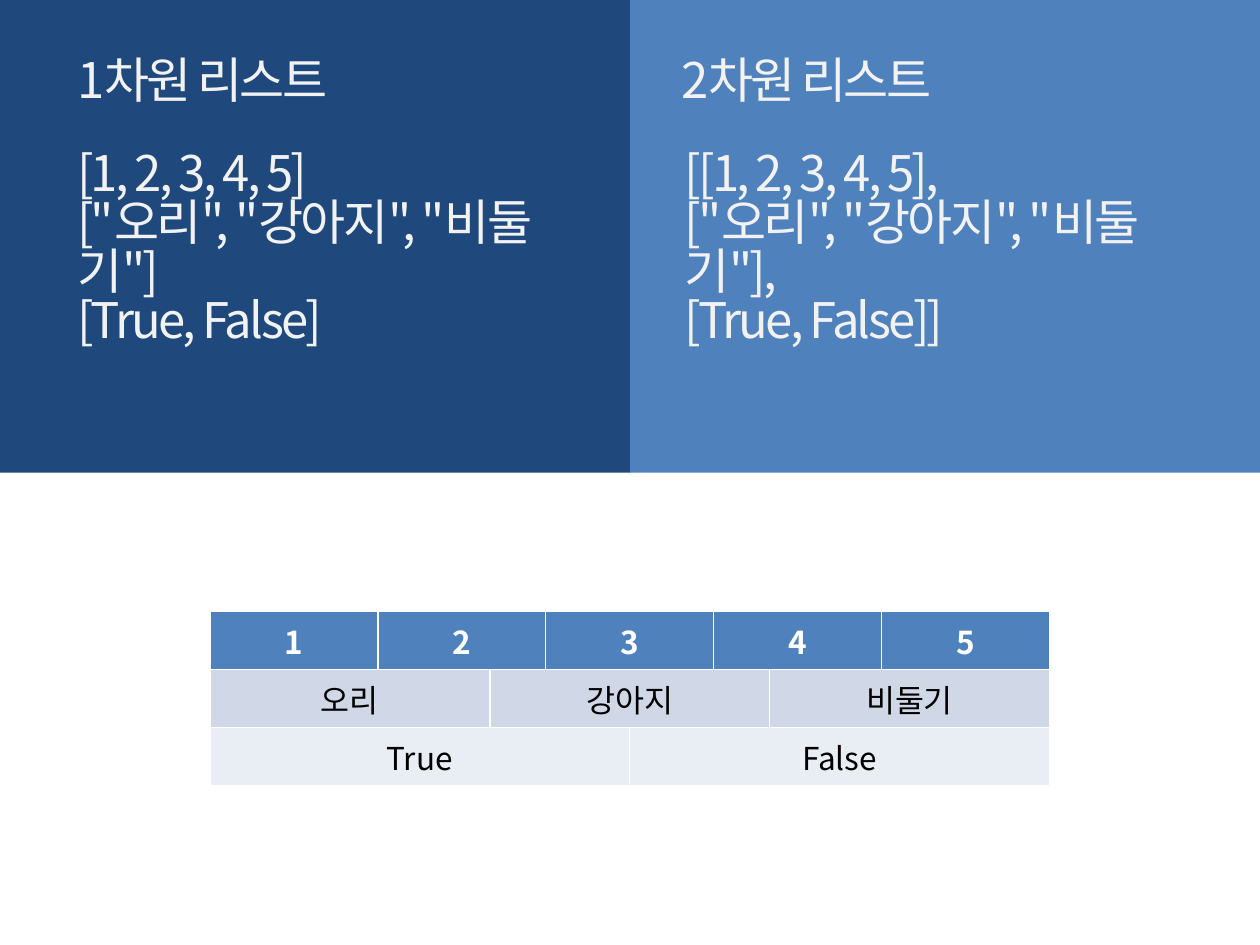
from pptx import Presentation
from pptx.dml.color import RGBColor
from pptx.enum.shapes import MSO_SHAPE as Shape
from pptx.enum.text import MSO_ANCHOR as Anchor, MSO_AUTO_SIZE as AutoSize, PP_ALIGN as Align
from pptx.oxml.ns import qn
from pptx.util import Cm, Pt

FONT = "Noto Sans CJK KR"
NAVY = RGBColor(0x1F, 0x49, 0x7D)
BLUE = RGBColor(0x4F, 0x81, 0xBD)
PALE_BLUE = RGBColor(0xD0, 0xD8, 0xE8)
PALER_BLUE = RGBColor(0xE9, 0xED, 0xF4)
OFF_WHITE = RGBColor(0xF2, 0xF2, 0xF2)
WHITE = RGBColor(0xFF, 0xFF, 0xFF)
BLACK = RGBColor(0, 0, 0)


def fill_text(box, lines, left, top, height):
    """Place a placeholder and give it plain, tightly spaced lines."""
    box.left, box.top, box.width, box.height = Cm(left), Cm(top), Cm(11), Cm(height)
    frame = box.text_frame
    frame.text = "\n".join(lines)
    frame.word_wrap = True
    frame.auto_size = AutoSize.NONE
    frame.vertical_anchor = Anchor.MIDDLE
    for para in frame.paragraphs:
        para.font.name, para.font.size = FONT, Pt(28)
        para.font.bold = False
        para.font.color.rgb = OFF_WHITE
        para.space_before = Pt(0)
        para.line_spacing = 0.83
        layout = para._p.get_or_add_pPr()
        layout.set("marL", "0")
        layout.set("indent", "0")
        bullet = layout.makeelement(qn("a:buNone"), {})
        layout.find(qn("a:defRPr")).addprevious(bullet)
        for span in para.runs:
            properties = span._r.get_or_add_rPr()
            properties.set("spc", "-150")
            span.font.name = FONT
            properties.append(properties.makeelement(qn("a:ea"), {"typeface": FONT}))


deck = Presentation()
deck.slide_width, deck.slide_height = Cm(25.4), Cm(19.05)
page = deck.slides.add_slide(deck.slide_layouts.get_by_name("Comparison"))
title = page.shapes.title._element
title.getparent().remove(title)

# Two coloured panels behind the text
for position, color in enumerate((BLUE, NAVY)):
    panel = page.shapes.add_shape(
        Shape.RECTANGLE, Cm(12.7 * (1 - position)), 0, Cm(12.7), Cm(9.53))
    panel.shadow.inherit = False
    panel.fill.solid()
    panel.fill.fore_color.rgb = color
    panel.line.fill.background()
    page.shapes._spTree.insert(2 + position, panel._element)

# Headings and list examples
examples = [
    (1, 1.3, 1.3, "1차원 리스트",
     ["[1, 2, 3, 4, 5]", '["오리", "강아지", "비둘기"]', "[True, False]"]),
    (3, 13.48, 13.54, "2차원 리스트",
     ["[[1, 2, 3, 4, 5],", '["오리", "강아지", "비둘기"],', "[True, False]]"]),
]
holders = {box.placeholder_format.idx: box for box in page.placeholders}
for index, heading_left, body_left, heading, lines in examples:
    fill_text(holders[index], [heading], heading_left, 0.84, 1.68)
    fill_text(holders[index + 1], lines, body_left, 2.52, 5.05)

# Table: each row divides the same width into 5, 3 or 2 equal cells
rows = [
    (["1", "2", "3", "4", "5"], [0, 1, 3, 5, 7, 8], BLUE, WHITE),
    (["오리", "강아지", "비둘기"], [0, 2, 6, 8], PALE_BLUE, BLACK),
    (["True", "False"], [0, 4, 8], PALER_BLUE, BLACK),
]
table_width = 16.93
edges = sorted({part / len(row[0]) for row in rows for part in range(len(row[0]) + 1)})
table = page.shapes.add_table(
    len(rows), len(edges) - 1, Cm(4.23), Cm(12.32), Cm(table_width), Cm(3.09)).table
for column, start, end in zip(table.columns, edges, edges[1:]):
    column.width = Cm(table_width * (end - start))

for row, (words, starts, fill, color) in enumerate(rows):
    for word, start, end in zip(words, starts, starts[1:]):
        cell = table.cell(row, start)
        if end - start > 1:
            cell.merge(table.cell(row, end - 1))
        cell.text = word
        cell.fill.solid()
        cell.fill.fore_color.rgb = fill
        para = cell.text_frame.paragraphs[0]
        para.alignment = Align.CENTER
        para.font.name, para.font.size = FONT, Pt(18)
        para.font.bold = row == 0
        para.font.color.rgb = color
        para.runs[0].font.name = FONT

deck.save("out.pptx")
